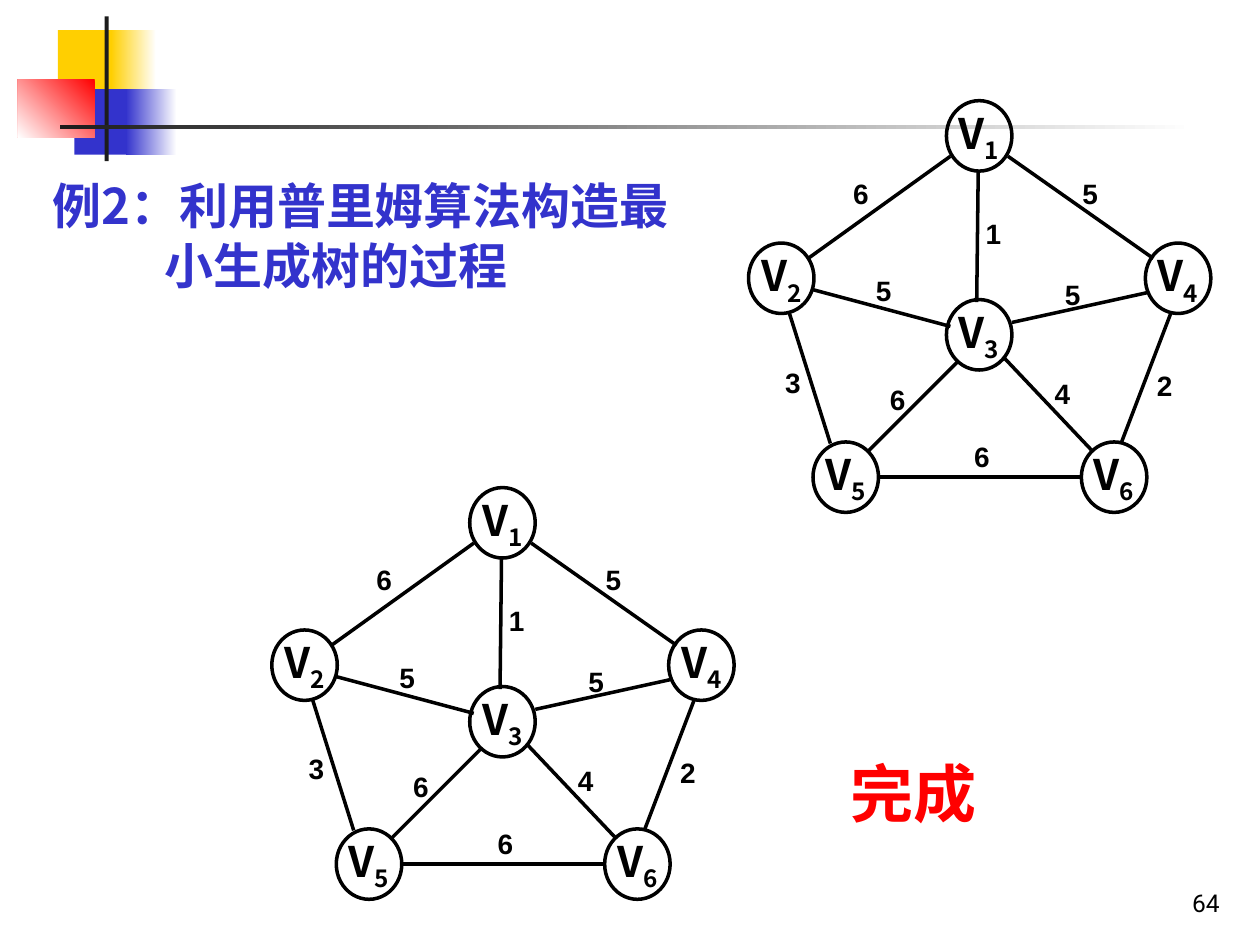
from dataclasses import dataclass

from lxml.etree import SubElement
from pptx import Presentation
from pptx.dml.color import RGBColor
from pptx.enum.shapes import MSO_CONNECTOR, MSO_SHAPE
from pptx.enum.text import MSO_ANCHOR, MSO_AUTO_SIZE, PP_ALIGN
from pptx.oxml.ns import qn
from pptx.util import Cm, Pt


@dataclass(frozen=True)
class Theme:
    """Colours, fonts and type sizes of the slide."""
    black: str = "000000"
    white: str = "FFFFFF"
    dark: str = "1C1C1C"
    blue: str = "3333CC"
    yellow: str = "FFCF01"
    red: str = "FF0000"
    cjk: str = "Noto Sans CJK SC"
    label: str = "Arial"
    serif: str = "Times New Roman"
    number: str = "Roboto"
    title_size: int = 28
    done_size: int = 36
    node_size: int = 24
    weight_size: int = 16
    number_size: int = 14
    stroke: int = 2


NODE_W, NODE_H = 1.32, 1.42
INSETS = (0.25, 0.13, 0.25, 0.13)
NO_INSETS = (0, 0, 0, 0)
GRAPH_ORIGINS = [(19.08, 2.03), (9.47, 9.83)]

NODES = {
    "1": (0, 0),
    "2": (-3.99, 2.87),
    "3": (0, 4.01),
    "4": (4.01, 2.87),
    "5": (-2.69, 6.88),
    "6": (2.72, 6.88),
}

EDGES = [
    ("6", (0.08, 1.12), (-2.79, 3.18), (-1.88, 1.52)),
    ("5", (4.17, 3.18), (1.24, 1.12), (2.74, 1.52)),
    ("3", (-2.34, 6.91), (-3.18, 4.24), (-3.25, 5.33)),
    ("6", (2.69, 7.59), (-1.37, 7.59), (0.56, 6.83)),
    ("2", (3.53, 6.88), (4.52, 4.29), (4.24, 5.41)),
    ("1", (0.61, 4.06), (0.64, 1.4), (0.79, 2.34)),
    ("5", (0.08, 4.55), (-2.69, 3.81), (-1.42, 3.48)),
    ("6", (0.23, 5.26), (-1.57, 7.06), (-1.14, 5.69)),
    ("4", (2.92, 7.04), (1.14, 5.16), (2.18, 5.56)),
    ("5", (4.09, 3.86), (1.32, 4.47), (2.39, 3.56)),
]


class Deck:
    """Holds the theme and the current slide, and draws each kind of element."""

    def __init__(self, theme):
        self.t = theme
        self.prs = Presentation()
        self.prs.slide_width, self.prs.slide_height = Cm(25.4), Cm(19.05)
        self.s = self.prs.slides.add_slide(self.prs.slide_layouts[5])

    def frame(self, tf, insets, anchor=MSO_ANCHOR.TOP, wrap=True):
        tf.margin_left, tf.margin_top, tf.margin_right, tf.margin_bottom = map(Cm, insets)
        tf.vertical_anchor, tf.word_wrap = anchor, wrap
        tf.auto_size = MSO_AUTO_SIZE.NONE

    def style(self, r, size, font, color, bold=True):
        r.font.size, r.font.bold, r.font.name = Pt(size), bold, font
        r.font.color.rgb = RGBColor.from_string(color)
        SubElement(r._r.get_or_add_rPr(), qn("a:ea")).set("typeface", self.t.cjk)

    def fill_text(self, tf, text, size, font, color, align=PP_ALIGN.LEFT, bold=True, leading=None):
        tf.text = text
        p = tf.paragraphs[0]
        p.alignment = align
        if leading:
            p.line_spacing = Pt(leading)
        self.style(p.runs[0], size, font, color, bold)

    def title(self, text, x, y, w, h, hang, leading):
        sp = self.s.shapes.title
        sp.left, sp.top, sp.width, sp.height = Cm(x), Cm(y), Cm(w), Cm(h)
        tf = sp.text_frame
        self.frame(tf, INSETS)
        self.fill_text(tf, text, self.t.title_size, self.t.cjk, self.t.blue, leading=leading)
        pPr = tf.paragraphs[0]._p.get_or_add_pPr()
        pPr.set("marL", str(Cm(hang)))
        pPr.set("indent", str(-Cm(hang)))

    def text(self, text, x, y, w, h, size, font, color, insets=INSETS,
             anchor=MSO_ANCHOR.TOP, **options):
        sp = self.s.shapes.add_textbox(Cm(x), Cm(y), Cm(w), Cm(h))
        self.frame(sp.text_frame, insets, anchor)
        self.fill_text(sp.text_frame, text, size, font, color, **options)

    def bar(self, x, y, w, h, *colors, angle=180):
        sp = self.s.shapes.add_shape(MSO_SHAPE.RECTANGLE, Cm(x), Cm(y), Cm(w), Cm(h))
        sp.shadow.inherit = False
        sp.line.fill.background()
        if len(colors) == 1:
            sp.fill.solid()
            sp.fill.fore_color.rgb = RGBColor.from_string(colors[0])
            return
        sp.fill.gradient()
        sp.fill.gradient_angle = angle
        for stop, color in zip(sp.fill.gradient_stops, colors):
            stop.color.rgb = RGBColor.from_string(color)

    def node(self, index, x, y):
        sp = self.s.shapes.add_shape(MSO_SHAPE.OVAL, Cm(x), Cm(y), Cm(NODE_W), Cm(NODE_H))
        sp.shadow.inherit = False
        sp.fill.background()
        sp.line.color.rgb = RGBColor.from_string(self.t.black)
        sp.line.width = Pt(self.t.stroke)
        tf = sp.text_frame
        self.frame(tf, NO_INSETS, MSO_ANCHOR.MIDDLE, wrap=False)
        self.fill_text(tf, "V", self.t.node_size, self.t.cjk, self.t.black, PP_ALIGN.CENTER)
        r = tf.paragraphs[0].add_run()
        r.text = index
        self.style(r, self.t.node_size, self.t.cjk, self.t.black)
        r._r.get_or_add_rPr().set("baseline", "-25000")

    def line(self, x1, y1, x2, y2):
        c = self.s.shapes.add_connector(MSO_CONNECTOR.STRAIGHT, Cm(x1), Cm(y1), Cm(x2), Cm(y2))
        c.line.color.rgb = RGBColor.from_string(self.t.black)
        c.line.width = Pt(self.t.stroke)
        SubElement(c._element.spPr, qn("a:effectLst"))

    def graph(self, x, y):
        for index, (dx, dy) in NODES.items():
            self.node(index, x + dx, y + dy)
        for weight, (x1, y1), (x2, y2), (dx, dy) in EDGES:
            self.line(x + x1, y + y1, x + x2, y + y2)
            self.text(weight, x + dx, y + dy, 1.4, 0.69, self.t.weight_size,
                      self.t.label, self.t.black, NO_INSETS)

    def ornament(self):
        t = self.t
        self.bar(1.17, 0.61, 1.22, 1.32, t.yellow)
        self.bar(2.24, 0.61, 0.91, 1.32, t.white, t.yellow)
        self.bar(1.5, 1.8, 1.17, 1.32, t.blue)
        self.bar(2.54, 1.8, 1.02, 1.32, t.white, t.blue)
        self.bar(0.36, 1.6, 1.55, 1.17, t.red, t.white, angle=225)
        self.bar(2.11, 0.33, 0.08, 2.92, t.dark)
        self.bar(1.22, 2.53, 22.86, 0.08, t.white, t.dark)


def main():
    t = Theme()
    deck = Deck(t)
    deck.ornament()
    for x, y in GRAPH_ORIGINS:
        deck.graph(x, y)
    deck.title("例2：利用普里姆算法构造最小生成树的过程", 0.81, 3.4, 13.89, 2.64, hang=2.26, leading=34)
    deck.text("完成", 16.89, 14.94, 3.4, 1.78, t.done_size, t.serif, t.red, leading=47)
    deck.text("64", 19.56, 17.35, 5.28, 1.27, t.number_size, t.number, t.black,
              anchor=MSO_ANCHOR.BOTTOM, align=PP_ALIGN.RIGHT, bold=False)
    deck.prs.save("out.pptx")


if __name__ == "__main__":
    main()
